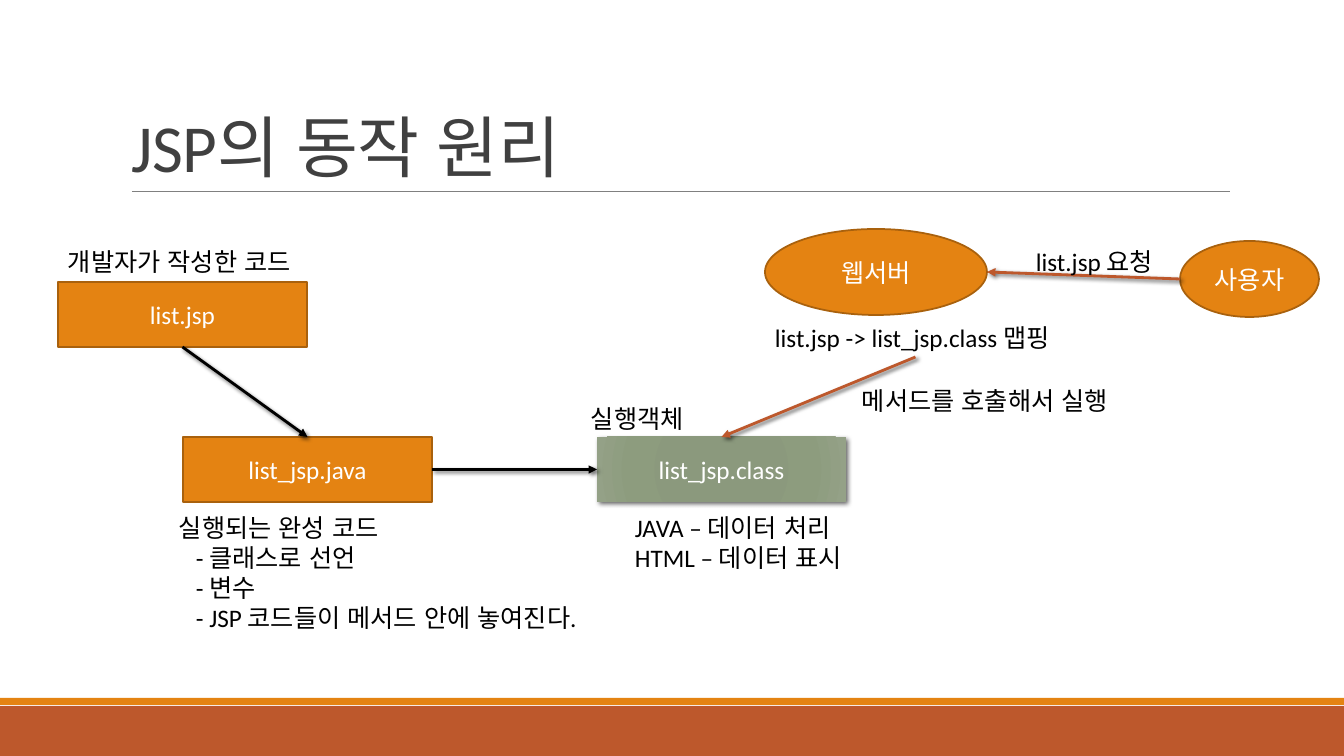
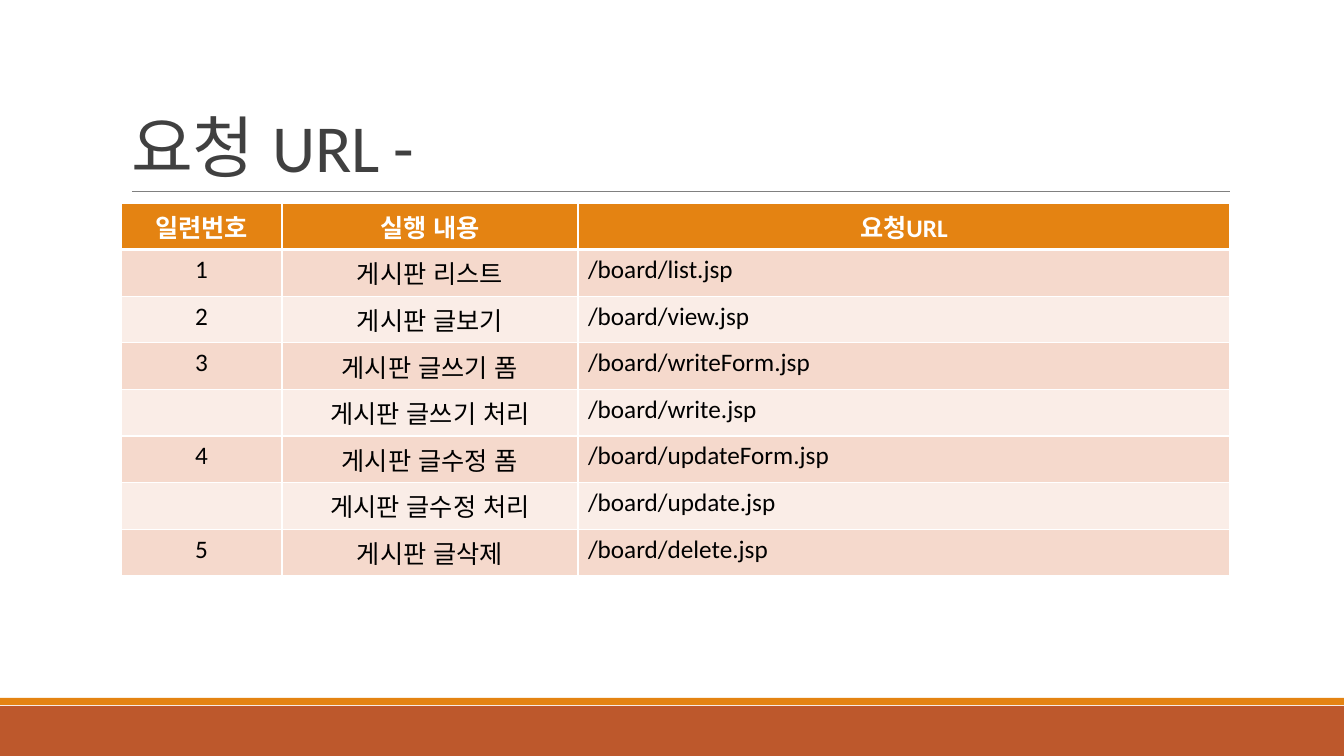
from pptx import Presentation
from pptx import util as u
from pptx.dml.color import RGBColor
from pptx.enum import lang, shapes, text
from pptx.oxml import parse_xml
from pptx.oxml.ns import nsdecls

PX = 12192000 / 1344  # EMU in one px
FONT = "Calibri"
ORANGE, RUST, EDGE = "E48312", "BD582C", "A9610D"
BLACK, WHITE, INK, GREY = "000000", "FFFFFF", "404040", "808080"
BANDS = ("F5D9CC", "FAEDE7")
SAGE = ((0, "8A987B"), (34, "8B997D"), (70, "8D9C7E"), (100, "94A187"))
RECT, OVAL = shapes.MSO_SHAPE.RECTANGLE, shapes.MSO_SHAPE.OVAL
LEFT, CENTER = text.PP_ALIGN.LEFT, text.PP_ALIGN.CENTER


def px(*lengths):
    return [u.Emu(round(length * PX)) for length in lengths]


def color(value):
    return RGBColor.from_string(value)


def paint(target, value):
    target.fill.solid()
    target.fill.fore_color.rgb = color(value)


def style(para, ink, size=18, align=LEFT, bold=False):
    para.alignment = align
    font = para.font
    font.name, font.size, font.bold = FONT, u.Pt(size), bold
    font.color.rgb = color(ink)
    for span in para.runs:
        span.font.language_id = lang.MSO_LANGUAGE_ID.KOREAN


def moved(origin, left, top, width, height):
    return origin[0] + left, origin[1] + top, width, height


def side(box, across, down):
    """Point at a fraction of the box's width and height."""
    left, top, width, height = box
    return left + width * across, top + height * down


# Effects
def add_shadow(shape, blur):
    properties = shape._element.spPr
    for old in properties.findall("{*}effectLst"):
        properties.remove(old)
    properties.append(parse_xml(
        f'<a:effectLst {nsdecls("a")}><a:outerShdw blurRad="{u.Pt(blur)}" dist="{u.Pt(2)}" '
        f'dir="2700000" rotWithShape="0"><a:srgbClr val="{BLACK}"><a:alpha val="60000"/>'
        '</a:srgbClr></a:outerShdw></a:effectLst>'))


def radial_fill(shape, stops):
    marks = "".join(f'<a:gs pos="{place * 1000}"><a:srgbClr val="{value}"/></a:gs>'
                    for place, value in stops)
    shape._element.spPr[1].addnext(parse_xml(
        f'<a:gradFill {nsdecls("a")} rotWithShape="1"><a:gsLst>{marks}</a:gsLst>'
        '<a:path path="circle"><a:fillToRect l="100000" t="100000" r="100000" b="100000"/>'
        '</a:path></a:gradFill>'))


# Parts
def add_node(page, box, label="", kind=RECT, fill=ORANGE, edge=None):
    shape = page.shapes.add_shape(kind, *px(*box))
    if isinstance(fill, str):
        paint(shape, fill)
    else:
        radial_fill(shape, fill)
    if edge:
        shape.line.color.rgb = color(edge)
        shape.line.width = u.Pt(1.25)
    else:
        shape.line.fill.background()
    shape.shadow.inherit = False
    if label:
        frame = shape.text_frame
        frame.vertical_anchor = text.MSO_ANCHOR.MIDDLE
        frame.text = label
        style(frame.paragraphs[0], WHITE, align=CENTER)
    return shape


def add_label(page, box, *lines):
    frame = page.shapes.add_textbox(*px(*box)).text_frame
    frame.word_wrap = True
    frame.text = "\n".join(lines)
    for para in frame.paragraphs:
        style(para, BLACK)
        if para.text.startswith("- "):
            para._p.get_or_add_pPr().set("marL", str(px(17)[0]))


def add_line(page, start, end, ink, width):
    line = page.shapes.add_connector(shapes.MSO_CONNECTOR.STRAIGHT, *px(*start, *end))
    line.line.color.rgb = color(ink)
    line.line.width = u.Pt(width)
    line._element.spPr.append(parse_xml(f'<a:effectLst {nsdecls("a")}/>'))
    return line


def add_arrow(page, start, end, ink):
    arrow = add_line(page, start, end, ink, 2)
    arrow.line._get_or_add_ln().append(
        parse_xml(f'<a:tailEnd {nsdecls("a")} type="triangle"/>'))
    add_shadow(arrow, 3)


# Shared frame of every slide
def add_page(deck, title):
    page = deck.slides.add_slide(deck.slide_layouts[6])
    add_node(page, (0, 706, 1344, 50), fill=RUST)
    add_node(page, (0, 698, 1344, 7), fill=ORANGE)
    add_line(page, (132, 191), (1230, 191), GREY, 0.5)
    frame = page.shapes.add_textbox(*px(122, 31, 1109, 160)).text_frame
    frame.word_wrap = True
    frame.vertical_anchor = text.MSO_ANCHOR.BOTTOM
    frame.text = title
    para = frame.paragraphs[0]
    style(para, INK, 48)
    para.line_spacing = 0.85
    para.font._element.set("spc", "-50")
    return page


# From written code to the compiled class
def compile_flow(page, origin):
    source, java, compiled = (moved(origin, left, top, 249, 65)
                              for left, top in ((0, 41), (125, 196), (539, 196)))
    add_node(page, source, "list.jsp", edge=EDGE)
    add_node(page, java, "list_jsp.java", edge=EDGE)
    add_shadow(add_node(page, compiled, "list_jsp.class", fill=SAGE), 3.5)
    add_arrow(page, side(source, 0.5, 1), side(java, 0.5, 0), BLACK)
    add_arrow(page, side(java, 1, 0.5), side(compiled, 0, 0.5), BLACK)
    add_label(page, moved(origin, 0, 0, 261, 40), "개발자가 작성한 코드")
    add_label(page, moved(origin, 111, 266, 445, 132), "실행되는 완성 코드",
              "- 클래스로 선언", "- 변수", "- JSP 코드들이 메서드 안에 놓여진다.")
    add_label(page, moved(origin, 523, 157, 122, 40), "실행객체")
    add_label(page, moved(origin, 567, 266, 239, 72),
              "JAVA – 데이터 처리", "HTML – 데이터 표시")
    return side(compiled, 0.5, 0)


# From the user's request to the running class
def request_flow(page, origin, target):
    server = moved(origin, 0, 0, 222, 86)
    user = moved(origin, 415, 12, 139, 76)
    mapping = moved(origin, 0, 88, 301, 40)
    add_node(page, server, "웹서버", OVAL, edge=EDGE)
    add_node(page, user, "사용자", OVAL, edge=EDGE)
    add_arrow(page, side(user, 0, 0.5), side(server, 1, 0.5), RUST)
    add_arrow(page, side(mapping, 0.5, 1), target, RUST)
    add_label(page, mapping, "list.jsp -> list_jsp.class 맵핑")
    add_label(page, moved(origin, 261, 12, 142, 40), "list.jsp 요청")
    add_label(page, moved(origin, 87, 151, 286, 40), "메서드를 호출해서 실행")


# Table of request addresses
def set_borders(cell, top, bottom):
    properties = cell._tc.get_or_add_tcPr()
    for index, (edge, width) in enumerate(zip("LRTB", (1, 1, top, bottom))):
        properties.insert(index, parse_xml(
            f'<a:ln{edge} {nsdecls("a")} w="{u.Pt(width)}"><a:solidFill>'
            f'<a:srgbClr val="{WHITE}"/></a:solidFill></a:ln{edge}>'))


def url_table(page, box, widths, rows):
    table = page.shapes.add_table(len(rows), len(widths), *px(*box)).table
    table.horz_banding = False
    for column, width in zip(table.columns, px(*widths)):
        column.width = width
    for row, values in enumerate(rows):
        header = row == 0
        for column, value in enumerate(values):
            cell = table.cell(row, column)
            cell.text = value
            paint(cell, ORANGE if header else BANDS[(row - 1) % 2])
            set_borders(cell, 3 if row == 1 else 1, 3 if header else 1)
            style(cell.text_frame.paragraphs[0], WHITE if header else BLACK,
                  align=CENTER if header or column < 2 else LEFT, bold=header)


URL_ROWS = (
    ("일련번호", "실행 내용", "요청URL"),
    ("1", "게시판 리스트", "/board/list.jsp"),
    ("2", "게시판 글보기", "/board/view.jsp"),
    ("3", "게시판 글쓰기 폼", "/board/writeForm.jsp"),
    ("", "게시판 글쓰기 처리", "/board/write.jsp"),
    ("4", "게시판 글수정 폼", "/board/updateForm.jsp"),
    ("", "게시판 글수정 처리", "/board/update.jsp"),
    ("5", "게시판 글삭제", "/board/delete.jsp"),
)


def main():
    deck = Presentation()
    deck.slide_width, deck.slide_height = px(1344, 756)
    page = add_page(deck, "JSP의 동작 원리")
    target = compile_flow(page, (58, 241))
    request_flow(page, (765, 229), target)
    page = add_page(deck, "요청 URL -")
    url_table(page, (121, 203, 1109, 373), (161, 296, 652), URL_ROWS)
    deck.save("out.pptx")


if __name__ == "__main__":
    main()
